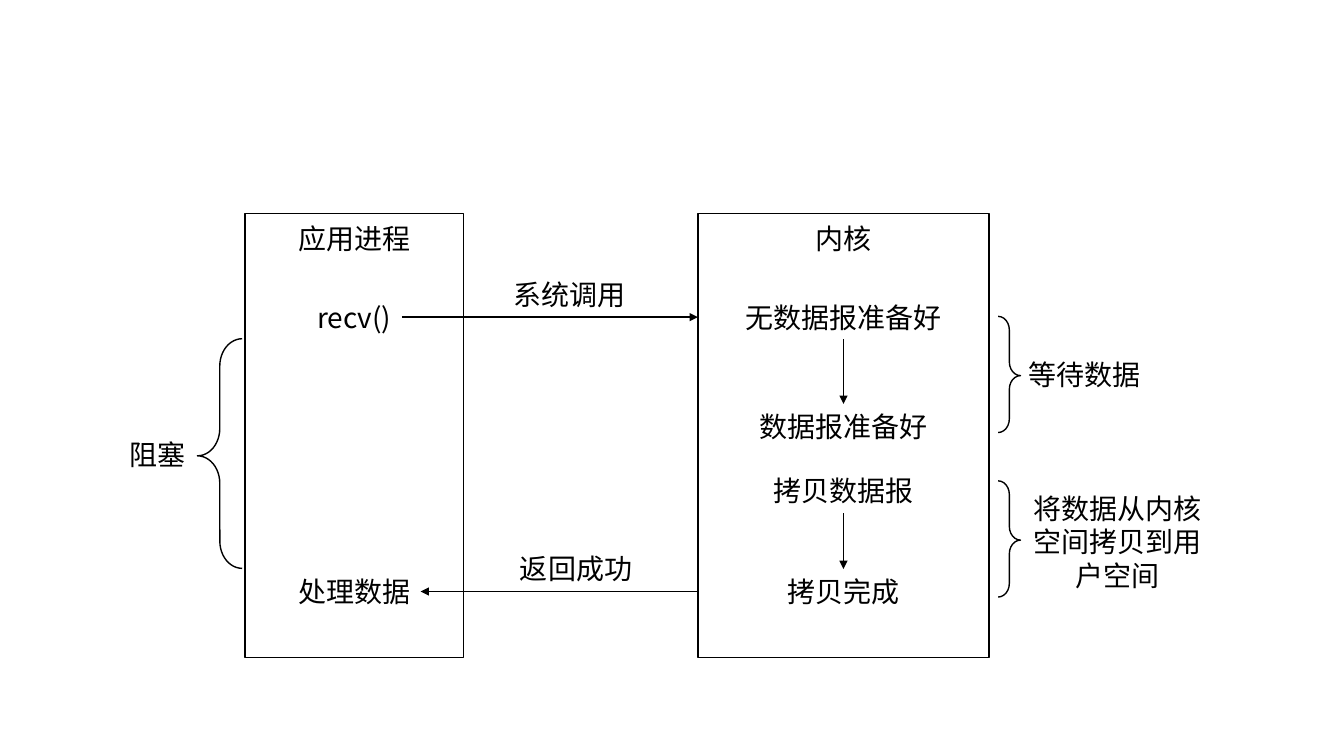
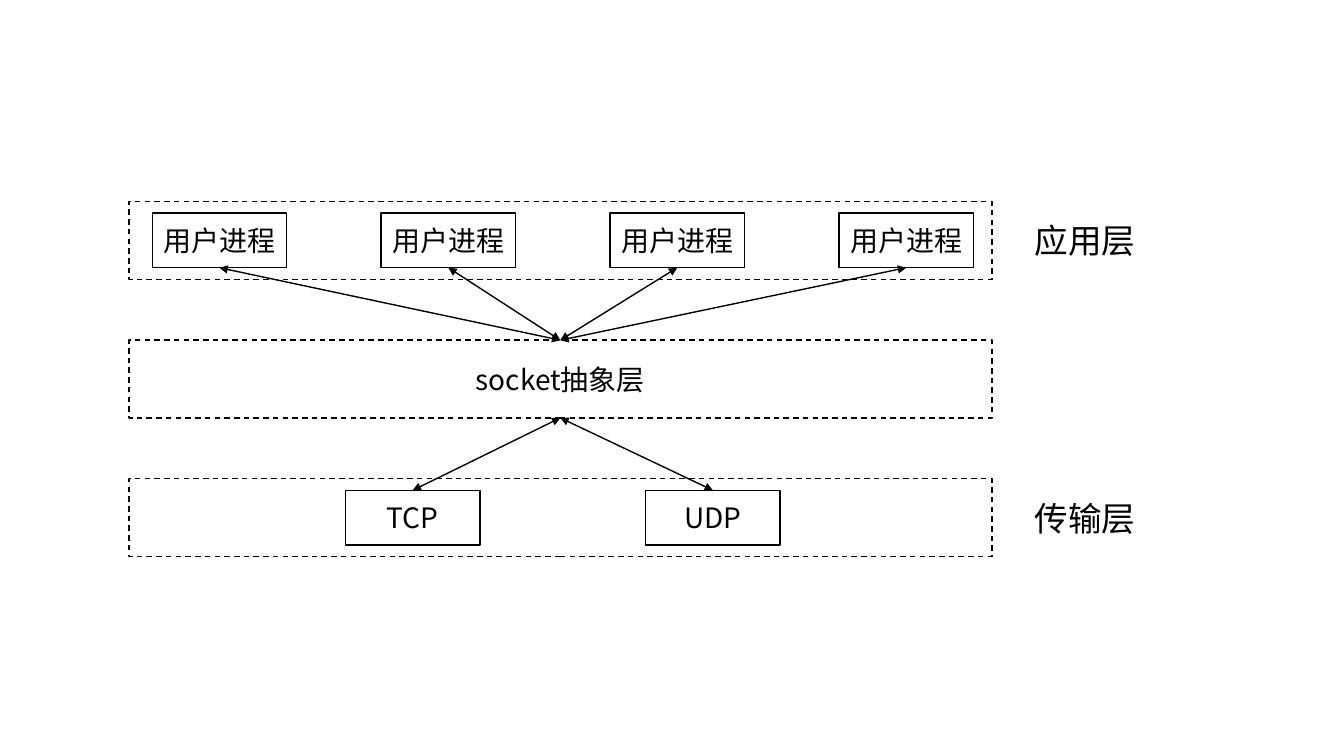
from lxml.etree import SubElement
from pptx import Presentation
from pptx.dml.color import RGBColor
from pptx.enum.dml import MSO_LINE
from pptx.enum.shapes import MSO_CONNECTOR, MSO_SHAPE
from pptx.enum.text import MSO_ANCHOR, PP_ALIGN
from pptx.oxml.ns import qn
from pptx.util import Pt

FONT = "Noto Sans CJK SC"
COLORS = {"ink": "000000", "paper": "FFFFFF"}
TOP, LEFT, BOTTOM, RIGHT = 0, 1, 2, 3

# Blocking receive: centres and sizes in points
APP_X, KERNEL_X = 253, 602.5
COLUMNS = [(APP_X, 156), (KERNEL_X, 208)]  # centre, width
COLUMN_TOP, COLUMN_HEIGHT = 152.5, 317
CALL_Y, RETURN_Y = 226.5, 422.5
STEPS = {  # name: (text, centre x, centre y, width)
    "app": ("应用进程", APP_X, 170, 95),
    "kernel": ("内核", KERNEL_X, 170, 55),
    "recv": ("recv()", APP_X, CALL_Y, 68),
    "not ready": ("无数据报准备好", KERNEL_X, CALL_Y, 156),
    "ready": ("数据报准备好", KERNEL_X, 304.5, 135),
    "copy": ("拷贝数据报", KERNEL_X, 350.5, 115),
    "copied": ("拷贝完成", KERNEL_X, RETURN_Y, 95),
    "process": ("处理数据", APP_X, RETURN_Y, 95),
    "blocked": ("阻塞", 112.5, 324.5, 55),
    "call": ("系统调用", 406.5, 210, 95),
    "return": ("返回成功", 411.5, 406, 95),
    "wait": ("等待数据", 774.5, 267.5, 95),
    "copying": ("将数据从内核\n空间拷贝到用\n户空间", 798.5, 387, 135),
}
STEP_ARROWS = [("not ready", "ready"), ("copy", "copied")]
BRACES = [  # preset, left, top, width, height
    (MSO_SHAPE.LEFT_BRACE, 141, 242, 32, 164),
    (MSO_SHAPE.RIGHT_BRACE, 713, 226, 16, 83),
    (MSO_SHAPE.RIGHT_BRACE, 713, 343.5, 16, 83),
]

# Socket layers
LAYERS = [  # band text, side label, boxes, distance between box centres
    ("", "应用层", ["用户进程"] * 4, 163.5),
    ("socket抽象层", "", [], 0),
    ("", "传输层", ["TCP", "UDP"], 214.5),
]
BAND_LEFT, BAND_TOP, BAND_WIDTH, BAND_HEIGHT, BAND_PITCH = 92, 144, 616.5, 55.5, 99
BOX_MIDDLE, BOX_WIDTH, BOX_HEIGHT = 402, 96, 39
LABEL_X = 775


def rgb(name):
    return RGBColor.from_string(COLORS[name])


def write(sp, text, size):
    tf = sp.text_frame
    tf.text = text
    tf.vertical_anchor = MSO_ANCHOR.MIDDLE
    tf.margin_top = tf.margin_bottom = 0
    for p in tf.paragraphs:
        p.alignment = PP_ALIGN.CENTER
        if len(tf.paragraphs) > 1:
            p.line_spacing = Pt(size * 1.2)
        for r in p.runs:
            r.font.size, r.font.name = Pt(size), FONT
            r.font.color.rgb = rgb("ink")
            SubElement(r.font._element, qn("a:ea"), typeface=FONT)


def label(slide, text, x, y, width, size=20):
    """Add a text box centred on (x, y)."""
    height = size * 1.2 * (text.count("\n") + 1) + 8
    sp = slide.shapes.add_textbox(Pt(x - width / 2), Pt(y - height / 2), Pt(width), Pt(height))
    write(sp, text, size)
    sp.text_frame.word_wrap = False
    return sp


def outline(slide, preset, left, top, width, height, text="", dashed=False):
    """Add an unfilled shape with a thin line."""
    sp = slide.shapes.add_shape(preset, Pt(left), Pt(top), Pt(width), Pt(height))
    sp.shadow.inherit = False
    sp.fill.background()
    sp.line.color.rgb = rgb("ink")
    sp.line.width = Pt(1)
    if dashed:
        sp.line.dash_style = MSO_LINE.DASH
    if text:
        write(sp, text, 20)
        sp.text_frame.margin_left = sp.text_frame.margin_right = 0
    return sp


def arrow(slide, start, end, both=False):
    """Join two ends, each an (x, y) point or a (shape, side) pair."""
    cx = slide.shapes.add_connector(MSO_CONNECTOR.STRAIGHT, 0, 0, 0, 0)
    if isinstance(start[0], (int, float)):
        cx.begin_x, cx.begin_y = map(Pt, start)
    else:
        cx.begin_connect(*start)
    if isinstance(end[0], (int, float)):
        cx.end_x, cx.end_y = map(Pt, end)
    else:
        cx.end_connect(*end)
    cx.line.color.rgb = rgb("ink")
    cx.line.width = Pt(1)
    ln = cx.line._get_or_add_ln()
    for tag in ["a:headEnd", "a:tailEnd"] if both else ["a:tailEnd"]:
        SubElement(ln, qn(tag), type="triangle")
    SubElement(cx._element.spPr, qn("a:effectLst"))


def new_slide(prs):
    slide = prs.slides.add_slide(prs.slide_layouts[6])
    slide.background.fill.solid()
    slide.background.fill.fore_color.rgb = rgb("paper")
    return slide


def blocking_slide(prs):
    slide = new_slide(prs)
    for x, width in COLUMNS:
        outline(slide, MSO_SHAPE.RECTANGLE, x - width / 2, COLUMN_TOP, width, COLUMN_HEIGHT)
    steps = {name: label(slide, *step) for name, step in STEPS.items()}
    kernel_left = KERNEL_X - COLUMNS[1][1] / 2
    arrow(slide, (steps["recv"], RIGHT), (kernel_left, CALL_Y))
    arrow(slide, (kernel_left, RETURN_Y), (steps["process"], RIGHT))
    for start, end in STEP_ARROWS:
        arrow(slide, (steps[start], BOTTOM), (steps[end], TOP))
    for brace in BRACES:
        sp = outline(slide, *brace)
        sp.adjustments[0], sp.adjustments[1] = 0.61, 0.51


def layers_slide(prs):
    slide = new_slide(prs)
    bands, rows = [], []
    for i, (text, side_label, names, pitch) in enumerate(LAYERS):
        top = BAND_TOP + i * BAND_PITCH
        middle = top + BAND_HEIGHT / 2
        bands.append(outline(slide, MSO_SHAPE.RECTANGLE, BAND_LEFT, top,
                             BAND_WIDTH, BAND_HEIGHT, text, dashed=True))
        first = BOX_MIDDLE - (len(names) - 1) * pitch / 2 - BOX_WIDTH / 2
        rows.append([outline(slide, MSO_SHAPE.RECTANGLE, first + j * pitch,
                             middle - BOX_HEIGHT / 2, BOX_WIDTH, BOX_HEIGHT, name)
                     for j, name in enumerate(names)])
        if side_label:
            label(slide, side_label, LABEL_X, middle, 87, size=24)
    processes, _, protocols = rows
    socket = bands[1]
    for boxes, box_side, socket_side in [(processes, BOTTOM, TOP), (protocols, TOP, BOTTOM)]:
        for box in boxes:
            arrow(slide, (box, box_side), (socket, socket_side), both=True)


def main():
    prs = Presentation()
    prs.slide_width, prs.slide_height = Pt(960), Pt(540)
    blocking_slide(prs)
    layers_slide(prs)
    prs.save("out.pptx")


if __name__ == "__main__":
    main()
